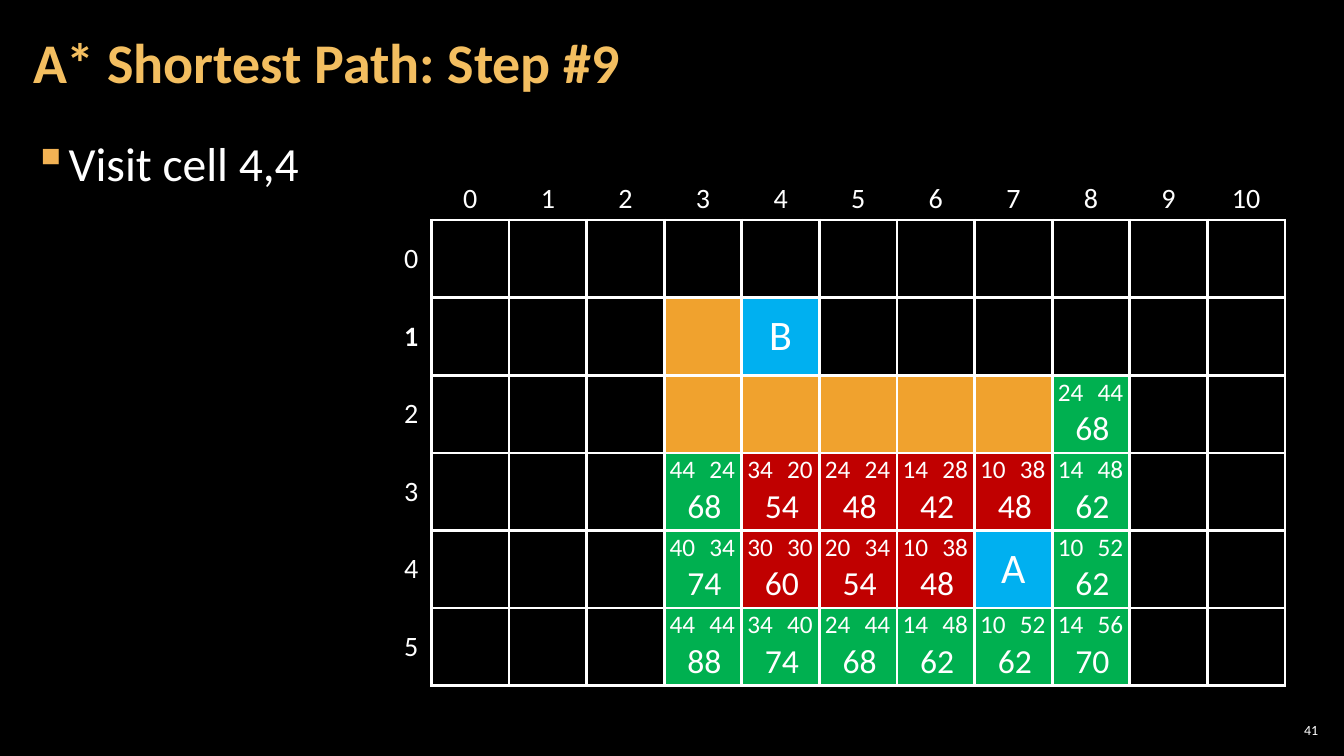
import pptx
import pptx.util
import pptx.dml.color
import pptx.enum.text
from lxml import etree
from pptx.oxml import parse_xml

Pt = pptx.util.Pt
ALIGN = pptx.enum.text.PP_ALIGN
MIDDLE = pptx.enum.text.MSO_ANCHOR.MIDDLE
NS = "http://schemas.openxmlformats.org/drawingml/2006/main"
WHITE, BLACK, GOLD, BULLET = "FFFFFF", "000000", "F3BE60", "F2B254"
WALL, ENDPOINT, OPEN, VISITED = "F0A22E", "00B0F0", "00B050", "C00000"


def rgb(value):
    return pptx.dml.color.RGBColor.from_string(value)


def write(tf, text, size, color=WHITE, bold=False, align=ALIGN.LEFT):
    """Put one run into the first paragraph of a text frame."""
    p = tf.paragraphs[0]
    p.alignment = align
    r = p.add_run()
    r.text = text
    r.font.name = "Calibri"
    r.font.size = Pt(size)
    r.font.bold = bold
    r.font.color.rgb = rgb(color)
    return p


prs = pptx.Presentation()
prs.slide_width, prs.slide_height = Pt(960), Pt(540)
s = prs.slides.add_slide(prs.slide_layouts[6])
s.background.fill.solid()
s.background.fill.fore_color.rgb = rgb(BLACK)

# Title, body and slide number
frames = []
for left, top, width, height, inset in [
    (15, 3, 754, 87, 8.64),
    (15, 90.5, 929.5, 438.5, 8.64),
    (910.8, 514, 33.8, 15, 3),
]:
    tf = s.shapes.add_textbox(Pt(left), Pt(top), Pt(width), Pt(height)).text_frame
    tf.word_wrap = True
    tf.margin_left = tf.margin_right = Pt(inset)
    tf.margin_top = tf.margin_bottom = Pt(3)
    frames.append(tf)
title, body, number = frames
title.vertical_anchor = number.vertical_anchor = MIDDLE
write(title, "A* Shortest Path: Step #9", 40, GOLD, True).line_spacing = 0.9
write(number, "41", 10, align=ALIGN.RIGHT)

p = write(body, "Visit cell 4,4", 34)
p.line_spacing = 1.05
p.space_after = Pt(6)
pPr = p._p.get_or_add_pPr()
pPr.set("marL", str(Pt(24)))
pPr.set("indent", str(-Pt(24)))
bullet_color = etree.SubElement(pPr, f"{{{NS}}}buClr")
etree.SubElement(bullet_color, f"{{{NS}}}srgbClr", val=BULLET)
etree.SubElement(pPr, f"{{{NS}}}buChar", char="▪")

# Grid: (row, column) cells, with a header row and a header column
ROWS, COLS = 6, 11
HEAD, CELL = 28.8, 55.44
GRID_LEFT, GRID_TOP = 279.4, 126

endpoints = {(1, 4): "B", (4, 7): "A"}
walls = [(1, 3)] + [(2, col) for col in range(3, 8)]
open_costs = {
    (2, 8): (24, 44), (3, 3): (44, 24), (3, 8): (14, 48),
    (4, 3): (40, 34), (4, 8): (10, 52), (5, 3): (44, 44),
    (5, 4): (34, 40), (5, 5): (24, 44), (5, 6): (14, 48),
    (5, 7): (10, 52), (5, 8): (14, 56),
}
visited_costs = {
    (3, 4): (34, 20), (3, 5): (24, 24), (3, 6): (14, 28), (3, 7): (10, 38),
    (4, 4): (30, 30), (4, 5): (20, 34), (4, 6): (10, 38),
}
fills = {}
for cells, color in [(walls, WALL), (endpoints, ENDPOINT),
                     (open_costs, OPEN), (visited_costs, VISITED)]:
    fills.update(dict.fromkeys(cells, color))

table = s.shapes.add_table(
    ROWS + 1, COLS + 1, Pt(GRID_LEFT), Pt(GRID_TOP),
    Pt(HEAD + COLS * CELL), Pt(HEAD + ROWS * CELL)).table
table.first_row = table.horz_banding = False
for i, column in enumerate(table.columns):
    column.width = Pt(CELL if i else HEAD)
for i, line in enumerate(table.rows):
    line.height = Pt(CELL if i else HEAD)

for row in range(-1, ROWS):
    for col in range(-1, COLS):
        cell = table.cell(row + 1, col + 1)
        cell.vertical_anchor = MIDDLE
        if row >= 0 and col >= 0:
            text, size, sides = endpoints.get((row, col), ""), 30, "LRTB"
        elif row >= 0:
            text, size, sides = str(row), 20, "R"
        elif col >= 0:
            text, size, sides = str(col), 20, "B"
        else:
            text, size, sides = "", 20, ""
        if text:
            write(cell.text_frame, text, size, bold=(row, col) == (1, -1),
                  align=ALIGN.CENTER)
        tcPr = cell._tc.get_or_add_tcPr()
        for side in "LRTB":
            paint = (f'<a:solidFill><a:srgbClr val="{WHITE}"/></a:solidFill>'
                     if side in sides else "<a:noFill/>")
            tcPr.append(parse_xml(
                f'<a:ln{side} xmlns:a="{NS}" w="{Pt(2.25)}">{paint}</a:ln{side}>'))
        if (row, col) in fills:
            cell.fill.solid()
            cell.fill.fore_color.rgb = rgb(fills[row, col])
        else:
            cell.fill.background()

# Costs: from the start, to the goal, and their sum below
for (row, col), (from_start, to_goal) in {**open_costs, **visited_costs}.items():
    left = GRID_LEFT + HEAD + col * CELL - 3.2
    top = GRID_TOP + HEAD + row * CELL - 0.7
    group = s.shapes.add_group_shape()
    for value, dx, dy, width, height, size, align in [
        (from_start + to_goal, 4.8, 22.3, 54, 36, 24, ALIGN.CENTER),
        (from_start, 0, 0, 36, 29, 18, ALIGN.LEFT),
        (to_goal, 28.4, 0, 36, 29, 18, ALIGN.LEFT),
    ]:
        sp = group.shapes.add_textbox(Pt(left + dx), Pt(top + dy), Pt(width), Pt(height))
        tf = sp.text_frame
        tf.word_wrap = True
        tf.auto_size = pptx.enum.text.MSO_AUTO_SIZE.SHAPE_TO_FIT_TEXT
        write(tf, str(value), size, align=align)

prs.save("out.pptx")
